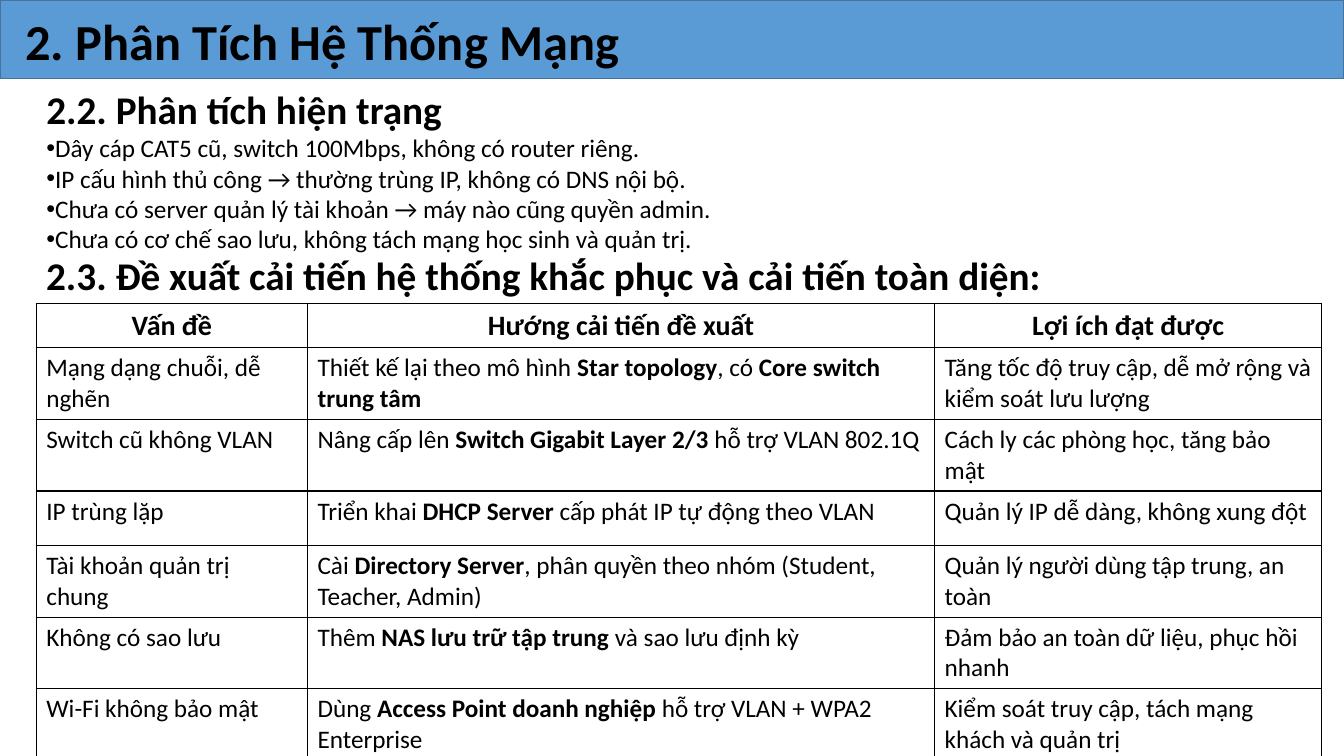
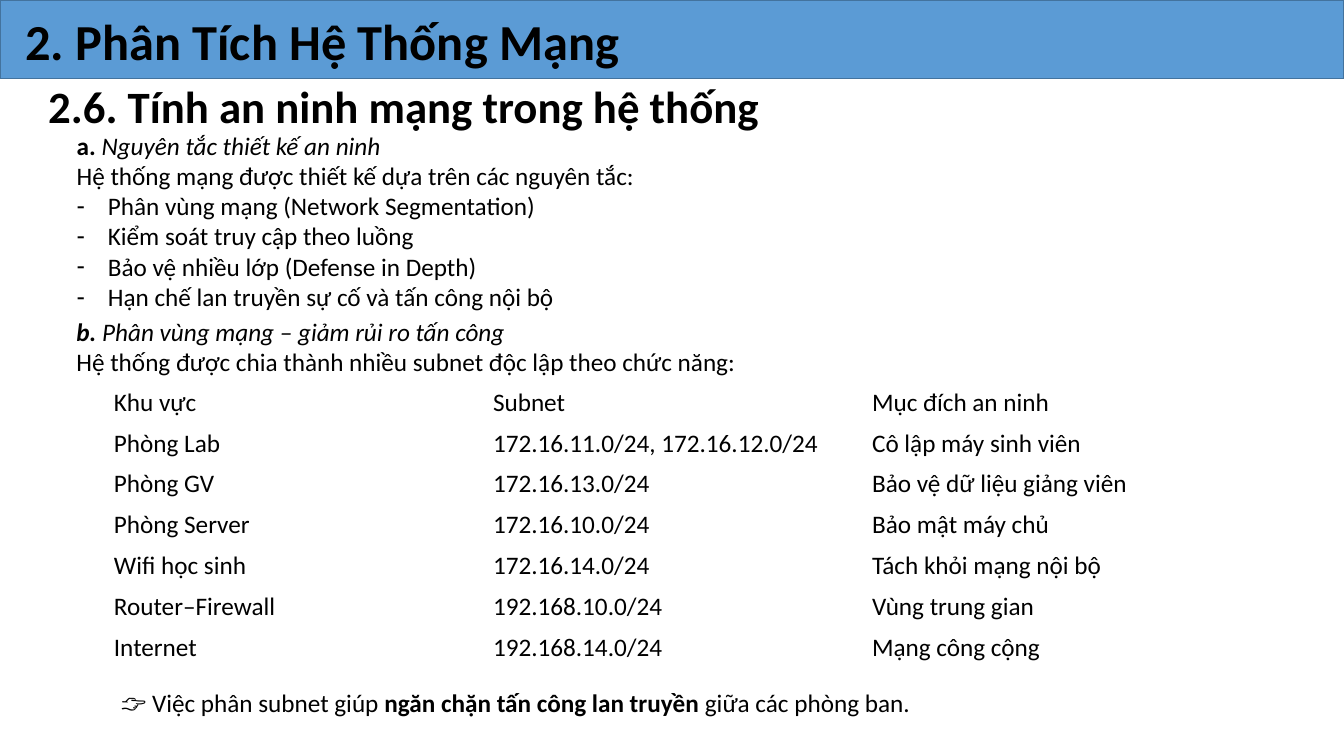
from lxml import etree
from pptx import Presentation
from pptx import util as u
from pptx.dml.color import RGBColor
from pptx.enum import shapes, text
from pptx.oxml import ns

BLUE = RGBColor(0x5B, 0x9B, 0xD5)
EDGE = RGBColor(0x43, 0x73, 0x9E)
BLACK = RGBColor(0, 0, 0)
LEFT = text.PP_ALIGN.LEFT
CENTER = text.PP_ALIGN.CENTER
JUSTIFY = text.PP_ALIGN.JUSTIFY
TOP = text.MSO_ANCHOR.TOP
MIDDLE = text.MSO_ANCHOR.MIDDLE
SECTION = "2. Phân Tích Hệ Thống Mạng"


def assign(target, values):
    for name, value in values.items():
        setattr(target, name, value)


def place(shape, box):
    assign(shape, dict(zip(("left", "top", "width", "height"), map(u.Inches, box))))


class Deck:
    font = "Calibri"
    section_size, body_size = 36, 18

    def __init__(self):
        self.prs = Presentation()
        assign(self.prs, {"slide_width": u.Inches(13.33), "slide_height": u.Inches(7.5)})
        self.layout = self.prs.slide_layouts[1]
        self.slide = None

    def start(self, section):
        first = self.slide is None
        self.slide = self.prs.slides.add_slide(self.layout)
        if first:
            self.band()
        title = self.slide.shapes.title
        place(title, (0.15, 0.05, 7.1, 0.71))
        self.fill_frame(title.text_frame, [self.heading(section, self.section_size)], MIDDLE)

    def band(self):
        band = self.slide.shapes.add_shape(shapes.MSO_SHAPE.RECTANGLE, 0, 0,
                                           self.prs.slide_width, u.Inches(0.78))
        band.shadow.inherit = False
        band.fill.solid()
        band.fill.fore_color.rgb = BLUE
        band.line.color.rgb = EDGE
        band.line.width = u.Pt(1)
        self.layout.shapes.element.insert(2, band.element)

    def heading(self, words, size):
        return {"content": [(words, "b")], "size": size}

    def body(self, box, paragraphs):
        body = self.slide.placeholders[1]
        place(body, box)
        self.fill_frame(body.text_frame, paragraphs)

    def textbox(self, box, paragraphs, anchor=TOP):
        frame = self.slide.shapes.add_textbox(*map(u.Inches, box)).text_frame
        self.fill_frame(frame, paragraphs, anchor)

    def fill_frame(self, frame, paragraphs, anchor=TOP):
        assign(frame, {"word_wrap": True, "auto_size": text.MSO_AUTO_SIZE.NONE,
                       "vertical_anchor": anchor})
        for index, entry in enumerate(paragraphs):
            paragraph = frame.add_paragraph() if index else frame.paragraphs[0]
            self.fill_paragraph(paragraph, **entry)

    def fill_paragraph(self, paragraph, content, size=body_size, align=LEFT, bullet=None, hang=0):
        props = paragraph._p.get_or_add_pPr()
        props.set("marL", str(u.Inches(hang)))
        props.set("indent", str(-u.Inches(hang)))
        mark = etree.SubElement(props, ns.qn("a:buChar" if bullet else "a:buNone"))
        if bullet:
            mark.set("char", bullet)
        assign(paragraph, {"alignment": align, "space_before": u.Pt(0), "line_spacing": 1.0})
        for words, style in [(content, "")] if isinstance(content, str) else content:
            run = paragraph.add_run()
            run.text = words
            assign(run.font, {"name": self.font, "size": u.Pt(size),
                              "bold": "b" in style, "italic": "i" in style})
            run.font.color.rgb = BLACK

    def table(self, corner, widths, heights, rows, header=None, anchor=TOP, bordered=False):
        box = (*corner, sum(widths), sum(heights))
        grid = self.slide.shapes.add_table(len(rows), len(widths), *map(u.Inches, box)).table
        assign(grid, {"first_row": False, "horz_banding": False})
        for column, width in zip(grid.columns, widths):
            column.width = u.Inches(width)
        for r, (row, height) in enumerate(zip(rows, heights)):
            grid.rows[r].height = u.Inches(height)
            for c, content in enumerate(row):
                cell = grid.cell(r, c)
                cell.fill.background()
                cell.vertical_anchor = anchor
                style = header if header and r == 0 else {}
                self.fill_paragraph(cell.text_frame.paragraphs[0], content, **style)
                if bordered:
                    self.border(cell)

    def border(self, cell):
        props = cell._tc.get_or_add_tcPr()
        for index, side in enumerate("LRTB"):
            line = etree.Element(ns.qn(f"a:ln{side}"), w=str(u.Pt(1)))
            fill = etree.SubElement(line, ns.qn("a:solidFill"))
            etree.SubElement(fill, ns.qn("a:srgbClr"), val=str(BLACK))
            props.insert(index, line)


def current_state(deck):
    deck.start(SECTION)
    problems = [
        "Dây cáp CAT5 cũ, switch 100Mbps, không có router riêng.",
        "IP cấu hình thủ công → thường trùng IP, không có DNS nội bộ.",
        "Chưa có server quản lý tài khoản → máy nào cũng quyền admin.",
        "Chưa có cơ chế sao lưu, không tách mạng học sinh và quản trị.",
    ]
    deck.body((0.36, 0.8, 10.4, 1.78),
              [deck.heading("2.2. Phân tích hiện trạng", 28)]
              + [{"content": problem, "bullet": "•"} for problem in problems])
    improvements = [
        [[(label, "b")] for label in ("Vấn đề", "Hướng cải tiến đề xuất", "Lợi ích đạt được")],
        ["Mạng dạng chuỗi, dễ nghẽn",
         [("Thiết kế lại theo mô hình ", ""), ("Star topology", "b"), (", có ", ""),
          ("Core switch trung tâm", "b")],
         "Tăng tốc độ truy cập, dễ mở rộng và kiểm soát lưu lượng"],
        ["Switch cũ không VLAN",
         [("Nâng cấp lên ", ""), ("Switch Gigabit Layer 2/3", "b"), (" hỗ trợ VLAN 802.1Q", "")],
         "Cách ly các phòng học, tăng bảo mật"],
        ["IP trùng lặp",
         [("Triển khai ", ""), ("DHCP Server", "b"), (" cấp phát IP tự động theo VLAN", "")],
         "Quản lý IP dễ dàng, không xung đột"],
        ["Tài khoản quản trị chung",
         [("Cài ", ""), ("Directory Server", "b"),
          (", phân quyền theo nhóm (Student, Teacher, Admin)", "")],
         "Quản lý người dùng tập trung, an toàn"],
        ["Không có sao lưu",
         [("Thêm ", ""), ("NAS lưu trữ tập trung", "b"), (" và sao lưu định kỳ", "")],
         "Đảm bảo an toàn dữ liệu, phục hồi nhanh"],
        ["Wi-Fi không bảo mật",
         [("Dùng ", ""), ("Access Point doanh nghiệp", "b"),
          (" hỗ trợ VLAN + WPA2 Enterprise", "")],
         "Kiểm soát truy cập, tách mạng khách và quản trị"],
    ]
    deck.table((0.36, 3.01), (2.69, 6.22, 3.84), (0.35, 0.61, 0.61, 0.54, 0.61, 0.61, 0.61),
               improvements, header={"size": 20, "align": CENTER}, bordered=True)
    deck.textbox((0.36, 2.44, 10.87, 0.57), [deck.heading(
        "2.3. Đề xuất cải tiến hệ thống khắc phục và cải tiến toàn diện:", 28)])


def network_security(deck):
    deck.start(SECTION)
    deck.textbox((0.38, 0.73, 7.57, 0.64),
                 [deck.heading("2.6. Tính an ninh mạng trong hệ thống", 32)])
    intro = [
        [("a. ", "b"), ("Nguyên tắc thiết kế an ninh", "i")],
        "Hệ thống mạng được thiết kế dựa trên các nguyên tắc:",
    ]
    principles = [
        "Phân vùng mạng (Network Segmentation)",
        "Kiểm soát truy cập theo luồng",
        "Bảo vệ nhiều lớp (Defense in Depth)",
        "Hạn chế lan truyền sự cố và tấn công nội bộ",
    ]
    deck.body((0.66, 1.24, 10.99, 1.92),
              [{"content": line, "align": JUSTIFY} for line in intro]
              + [{"content": principle, "align": JUSTIFY, "bullet": "-", "hang": 0.31}
                 for principle in principles])
    subnets = [
        ("Khu vực", "Subnet", "Mục đích an ninh"),
        ("Phòng Lab", "172.16.11.0/24, 172.16.12.0/24", "Cô lập máy sinh viên"),
        ("Phòng GV", "172.16.13.0/24", "Bảo vệ dữ liệu giảng viên"),
        ("Phòng Server", "172.16.10.0/24", "Bảo mật máy chủ"),
        ("Wifi học sinh", "172.16.14.0/24", "Tách khỏi mạng nội bộ"),
        ("Router–Firewall", "192.168.10.0/24", "Vùng trung gian"),
        ("Internet", "192.168.14.0/24", "Mạng công cộng"),
    ]
    deck.table((1.03, 3.79), [3.76] * 3, [0.4] * len(subnets), subnets, anchor=MIDDLE)
    deck.textbox((0.66, 3.08, 12.5, 0.71), [
        {"content": [("b. ", "bi"), ("Phân vùng mạng – giảm rủi ro tấn công", "i")]},
        {"content": "Hệ thống được chia thành nhiều subnet độc lập theo chức năng:"},
    ], MIDDLE)
    deck.textbox((1.1, 6.77, 10.9, 0.4), [{"content": [
        ("👉 Việc phân subnet giúp ", ""), ("ngăn chặn tấn công lan truyền", "b"),
        (" giữa các phòng ban.", "")]}])


def main():
    deck = Deck()
    current_state(deck)
    network_security(deck)
    deck.prs.save("out.pptx")


if __name__ == "__main__":
    main()
